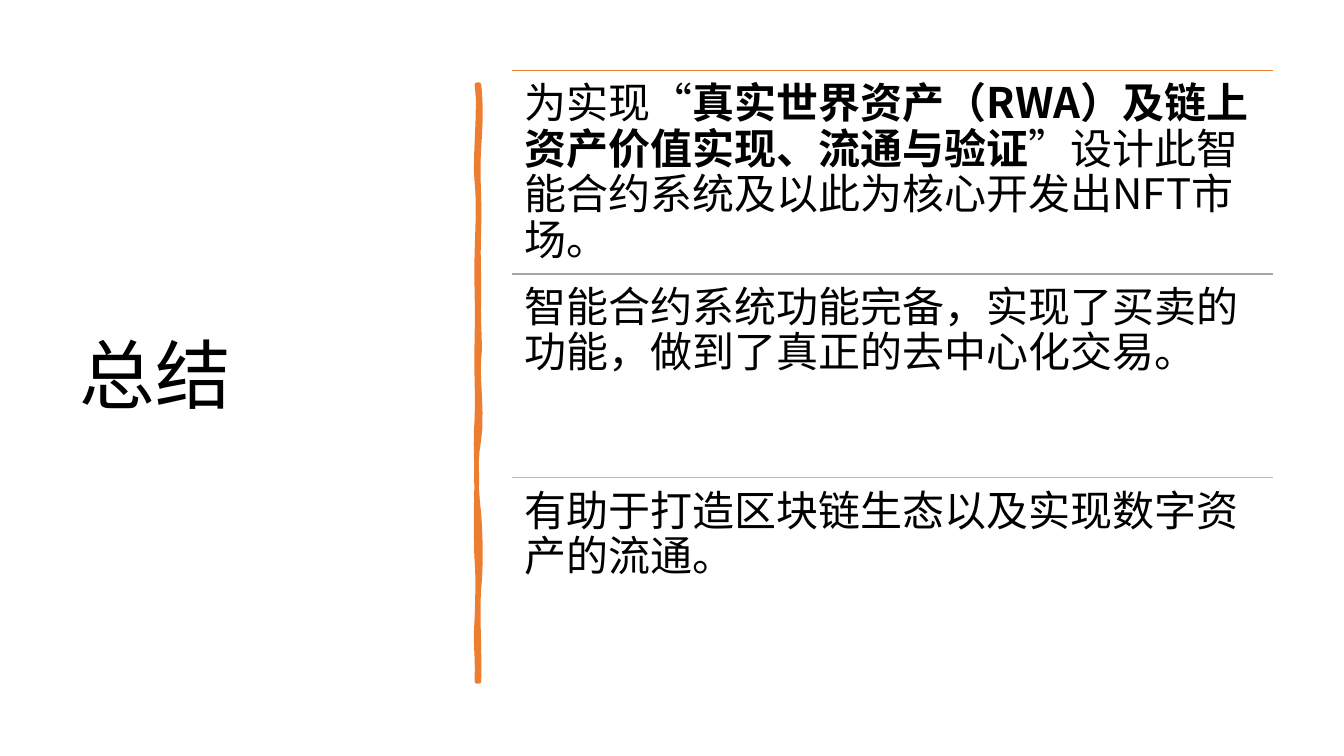
from dataclasses import dataclass

from lxml import etree
from pptx import Presentation
from pptx.dml.color import RGBColor
from pptx.enum.shapes import MSO_CONNECTOR
from pptx.enum.text import MSO_ANCHOR
from pptx.oxml.ns import qn
from pptx.slide import Slide
from pptx.util import Emu, Pt

PX = 9144
FONT = "Noto Sans CJK SC"
BLACK = RGBColor(0x00, 0x00, 0x00)
ORANGE = RGBColor(0xED, 0x7D, 0x31)
GRAY = RGBColor(0xA5, 0xA5, 0xA5)
GOLD = RGBColor(0xFF, 0xC0, 0x00)
STRAIGHT = MSO_CONNECTOR.STRAIGHT
MIDDLE = MSO_ANCHOR.MIDDLE
TOP = MSO_ANCHOR.TOP

ROW_LEFT, ROW_TOP, ROW_WIDTH, ROW_HEIGHT = 508, 70, 755, 202
ROW_INSET = 12
TITLE_INSET = 10
CURVE_STEPS = 6

Point = tuple[float, float]


@dataclass(frozen=True)
class Span:
    text: str
    bold: bool = False


@dataclass(frozen=True)
class Row:
    color: RGBColor
    spans: tuple[Span, ...]


ROWS = (
    Row(ORANGE, (
        Span("为实现“"),
        Span("真实世界资产（RWA）及链上资产价值实现、流通与验证", True),
        Span("”设计此智能合约系统及以此为核心开发出NFT市场。"),
    )),
    Row(GRAY, (Span("智能合约系统功能完备，实现了买卖的功能，做到了真正的去中心化交易。"),)),
    Row(GOLD, (Span("有助于打造区块链生态以及实现数字资产的流通。"),)),
)

STROKE_START = (475, 84)
STROKE_CURVES = (
    ((477, 102), (477, 119), (475, 146)),
    ((473, 173), (476, 195), (475, 226)),
    ((474, 257), (475, 262), (475, 294)),
    ((474, 325), (477, 342), (475, 356)),
    ((473, 370), (479, 414), (475, 436)),
    ((471, 457), (472, 484), (475, 510)),
    ((477, 536), (477, 564), (475, 584)),
    ((473, 603), (476, 650), (475, 676)),
    ((474, 676), (473, 676), (473, 676)),
    ((474, 646), (471, 644), (473, 613)),
    ((474, 583), (474, 570), (473, 557)),
    ((472, 544), (472, 495), (473, 477)),
    ((473, 459), (471, 445), (473, 415)),
    ((474, 386), (472, 373), (473, 335)),
    ((474, 298), (472, 281), (473, 250)),
    ((474, 218), (475, 200), (473, 181)),
    ((470, 163), (477, 104), (473, 84)),
)


def px(n: float) -> Emu:
    return Emu(round(n * PX))


def bezier(a: Point, b: Point, c: Point, d: Point, t: float) -> Point:
    u = 1 - t
    weights = (u ** 3, 3 * u * u * t, 3 * u * t * t, t ** 3)
    x, y = (sum(w * v for w, v in zip(weights, axis)) for axis in zip(a, b, c, d))
    return px(x), px(y)


def add_stroke(s: Slide) -> None:
    points = []
    last = STROKE_START
    for b, c, d in STROKE_CURVES:
        points += [bezier(last, b, c, d, i / CURVE_STEPS) for i in range(1, CURVE_STEPS + 1)]
        last = d
    fb = s.shapes.build_freeform(px(STROKE_START[0]), px(STROKE_START[1]))
    fb.add_line_segments(points, close=True)
    sp = fb.convert_to_shape()
    sp.shadow.inherit = False
    sp.fill.solid()
    sp.fill.fore_color.rgb = ORANGE
    sp.line.color.rgb = ORANGE
    sp.line.width = Pt(3.25)
    etree.SubElement(sp.line._get_or_add_ln(), qn("a:round"))


def add_rule(s: Slide, y: int, color: RGBColor) -> None:
    cx = s.shapes.add_connector(
        STRAIGHT, px(ROW_LEFT), px(y), px(ROW_LEFT + ROW_WIDTH), px(y))
    cx.line.color.rgb = color
    cx.line.width = Pt(1)
    etree.SubElement(cx._element.spPr, qn("a:effectLst"))


def add_text(s: Slide, box: tuple[int, int, int, int], spans: tuple[Span, ...],
             size: int, inset: int, anchor: MSO_ANCHOR) -> None:
    sp = s.shapes.add_textbox(*map(px, box))
    tf = sp.text_frame
    tf.word_wrap = True
    tf.vertical_anchor = anchor
    tf.margin_left = tf.margin_top = tf.margin_right = tf.margin_bottom = px(inset)
    p = tf.paragraphs[0]
    p.line_spacing = 0.9
    for span in spans:
        r = p.add_run()
        r.text = span.text
        r.font.name = FONT
        r.font.size = Pt(size)
        r.font.bold = span.bold
        r.font.color.rgb = BLACK
        etree.SubElement(r.font._element, qn("a:ea"), typeface=FONT)


def main() -> None:
    prs = Presentation()
    prs.slide_width = px(1333)
    prs.slide_height = px(750)
    s = prs.slides.add_slide(prs.slide_layouts[6])
    add_text(s, (69, 70, 374, 611), (Span("总结"),), 54, TITLE_INSET, MIDDLE)
    add_stroke(s)
    for i, row in enumerate(ROWS):
        y = ROW_TOP + i * ROW_HEIGHT
        add_rule(s, y, row.color)
        add_text(s, (ROW_LEFT, y, ROW_WIDTH, ROW_HEIGHT), row.spans, 30, ROW_INSET, TOP)
    prs.save("out.pptx")


if __name__ == "__main__":
    main()
